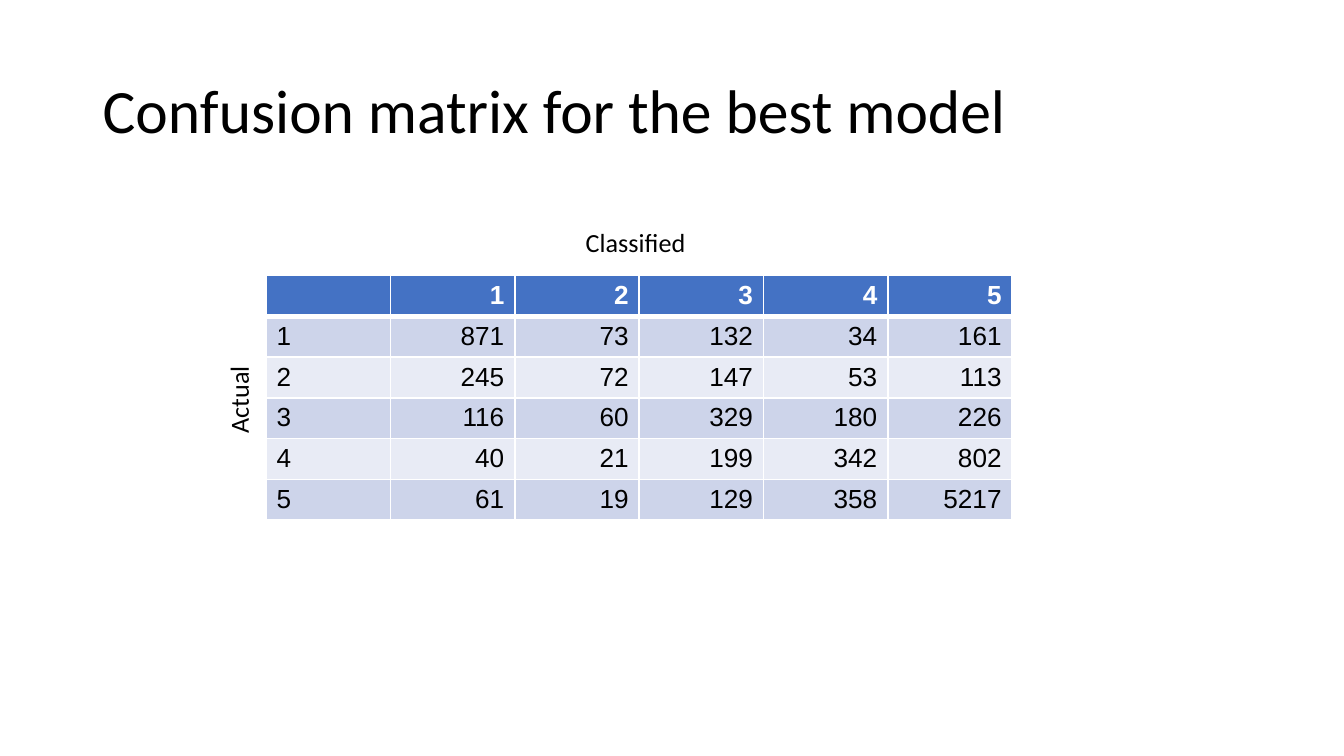
from lxml.etree import SubElement
from pptx import Presentation
from pptx.dml.color import RGBColor
from pptx.enum.text import MSO_ANCHOR, MSO_AUTO_SIZE, PP_ALIGN
from pptx.oxml.ns import qn
from pptx.util import Cm, Pt

COLORS = {"text": "000000", "white": "FFFFFF", "header": "4472C4",
          "odd": "CDD4EA", "even": "E8EBF5"}
TITLE = {"size": Pt(33), "name": "Calibri", "bold": False}
LABEL = {"size": Pt(14), "name": "Calibri", "bold": False}
BODY = {"size": Pt(14), "name": "Arial", "bold": False}
HEADER = {**BODY, "bold": True}
TEXT_INSETS = (0.19, 0.1, 0.19, 0.1)
CELL_INSETS = (0.2, 0.1, 0.2, 0.1)

MATRIX = [
    ["", 1, 2, 3, 4, 5],
    [1, 871, 73, 132, 34, 161],
    [2, 245, 72, 147, 53, 113],
    [3, 116, 60, 329, 180, 226],
    [4, 40, 21, 199, 342, 802],
    [5, 61, 19, 129, 358, 5217],
]


def set_attrs(obj, values):
    for name, value in values.items():
        setattr(obj, name, value)


def set_insets(obj, insets):
    sides = ("margin_left", "margin_top", "margin_right", "margin_bottom")
    set_attrs(obj, dict(zip(sides, map(Cm, insets))))


def write(p, text, fmt, color, align=PP_ALIGN.LEFT):
    p.alignment = align
    if text == "":
        end = SubElement(p._p, qn("a:endParaRPr"), sz=str(int(fmt["size"].pt * 100)))
        SubElement(end, qn("a:latin"), typeface=fmt["name"])
        return
    r = p.add_run()
    r.text = str(text)
    set_attrs(r.font, fmt)
    r.font.color.rgb = RGBColor.from_string(COLORS[color])


def add_title(s, text, left, top, width, height):
    sp = s.shapes.title
    set_attrs(sp, {"left": Cm(left), "top": Cm(top),
                   "width": Cm(width), "height": Cm(height)})
    tf = sp.text_frame
    set_attrs(tf, {"word_wrap": True, "auto_size": MSO_AUTO_SIZE.NONE,
                   "vertical_anchor": MSO_ANCHOR.MIDDLE})
    set_insets(tf, TEXT_INSETS)
    p = tf.paragraphs[0]
    p.line_spacing = 0.9
    write(p, text, TITLE, "text")


def add_label(s, text, left, top, width, height, rotation=0):
    sp = s.shapes.add_textbox(Cm(left), Cm(top), Cm(width), Cm(height))
    sp.rotation = rotation
    tf = sp.text_frame
    set_attrs(tf, {"word_wrap": True, "auto_size": MSO_AUTO_SIZE.SHAPE_TO_FIT_TEXT})
    set_insets(tf, TEXT_INSETS)
    write(tf.paragraphs[0], text, LABEL, "text")


def set_borders(cell, **widths):
    tcPr = cell._tc.get_or_add_tcPr()
    for side in "LRTB":
        ln = SubElement(tcPr, qn("a:ln" + side), w=str(Pt(widths.get(side, 1))))
        fill = SubElement(ln, qn("a:solidFill"))
        SubElement(fill, qn("a:srgbClr"), val=COLORS["white"])


def add_matrix(s, rows, left, top, width, height):
    n_rows, n_cols = len(rows), len(rows[0])
    table = s.shapes.add_table(n_rows, n_cols, Cm(left), Cm(top),
                               Cm(width), Cm(height)).table
    for col in table.columns:
        col.width = Cm(width / n_cols)
    for i, row in enumerate(rows):
        table.rows[i].height = Cm(height / n_rows)
        band = "header" if i == 0 else "odd" if i % 2 else "even"
        fmt, color = (HEADER, "white") if i == 0 else (BODY, "text")
        for j, value in enumerate(row):
            cell = table.cell(i, j)
            set_insets(cell, CELL_INSETS)
            set_borders(cell, T=3 if i == 1 else 1, B=3 if i == 0 else 1)
            cell.fill.solid()
            cell.fill.fore_color.rgb = RGBColor.from_string(COLORS[band])
            align = PP_ALIGN.RIGHT if j else PP_ALIGN.LEFT
            write(cell.text_frame.paragraphs[0], value, fmt, color, align)


def add_confusion_matrix(s, left, top, width, height):
    add_matrix(s, MATRIX, left, top, width, height)
    add_label(s, "Classified\u00a0", left + 5.85, top - 1.03, 2.45, 0.79)
    add_label(s, "Actual", left - 1.45, top + 1.85, 1.85, 0.79, rotation=270)


prs = Presentation()
prs.slide_width, prs.slide_height = Cm(25.4), Cm(14.29)
s = prs.slides.add_slide(prs.slide_layouts[5])
add_title(s, "Confusion matrix for the best model", 1.75, 0.76, 21.9, 2.77)
add_confusion_matrix(s, 5.03, 5.21, 14.1, 4.62)
prs.save("out.pptx")
